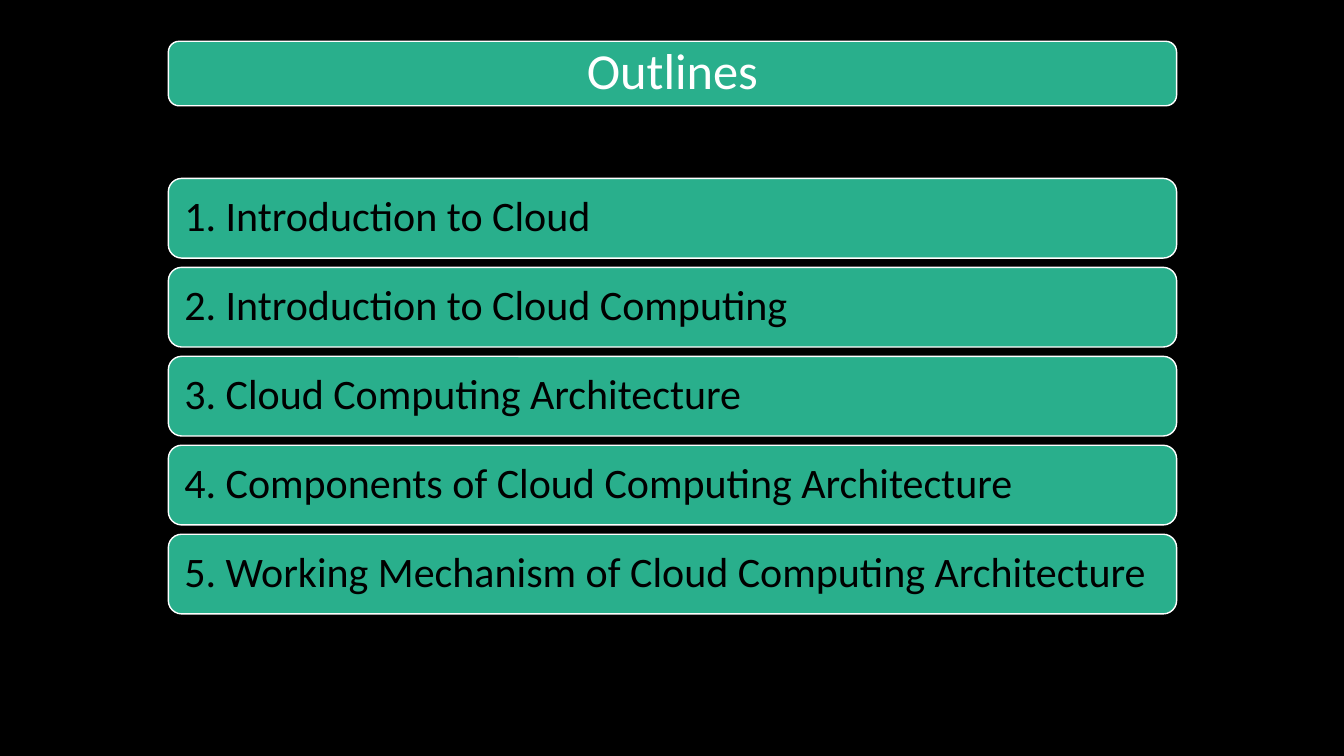
from pptx import Presentation
from pptx.dml.color import RGBColor
from pptx.enum.shapes import MSO_SHAPE
from pptx.enum.text import MSO_ANCHOR, PP_ALIGN
from pptx.util import Inches, Pt

COLORS = {"background": "000000", "bar": "29AF8C", "outline": "FFFFFF",
          "title": "FFFFFF", "topic": "000000"}
TOPICS = [
    "1. Introduction to Cloud",
    "2. Introduction to Cloud Computing",
    "3. Cloud Computing Architecture",
    "4. Components of Cloud Computing Architecture",
    "5. Working Mechanism of Cloud Computing Architecture",
]
BAR_LEFT, BAR_WIDTH = 1.67, 10
TOPIC_HEIGHT = 0.79


def color(name):
    return RGBColor.from_string(COLORS[name])


def add_bar(slide, box, wording, size, ink, align, inset):
    """Draw a rounded bar holding one line of text; box is in inches."""
    bar = slide.shapes.add_shape(MSO_SHAPE.ROUNDED_RECTANGLE, *map(Inches, box))
    bar.shadow.inherit = False
    bar.fill.solid()
    bar.fill.fore_color.rgb = color("bar")
    bar.line.color.rgb = color("outline")
    bar.line.width = Pt(1)

    frame = bar.text_frame
    frame.text = wording
    frame.word_wrap = True
    frame.vertical_anchor = MSO_ANCHOR.MIDDLE
    frame.margin_left = frame.margin_right = Inches(inset)
    frame.margin_top = frame.margin_bottom = 0
    line = frame.paragraphs[0]
    line.alignment = align
    line.line_spacing = 0.9
    font = line.runs[0].font
    font.name = "Calibri"
    font.size = Pt(size)
    font.color.rgb = color(ink)


def add_title(slide, box):
    add_bar(slide, box, "Outlines", 36, "title", PP_ALIGN.CENTER, 0.15)


def add_topics(slide, box):
    """Spread the topic bars evenly from top to bottom of the box."""
    left, top, width, height = box
    pitch = (height - TOPIC_HEIGHT) / (len(TOPICS) - 1)
    for row, topic in enumerate(TOPICS):
        add_bar(slide, (left, top + row * pitch, width, TOPIC_HEIGHT),
                topic, 30, "topic", PP_ALIGN.LEFT, 0.12)


def main():
    deck = Presentation()
    deck.slide_width, deck.slide_height = Inches(13.33), Inches(7.5)
    slide = deck.slides.add_slide(deck.slide_layouts[6])
    slide.background.fill.solid()
    slide.background.fill.fore_color.rgb = color("background")
    add_topics(slide, (BAR_LEFT, 1.77, BAR_WIDTH, 4.32))
    add_title(slide, (BAR_LEFT, 0.41, BAR_WIDTH, 0.64))
    deck.save("out.pptx")


if __name__ == "__main__":
    main()
